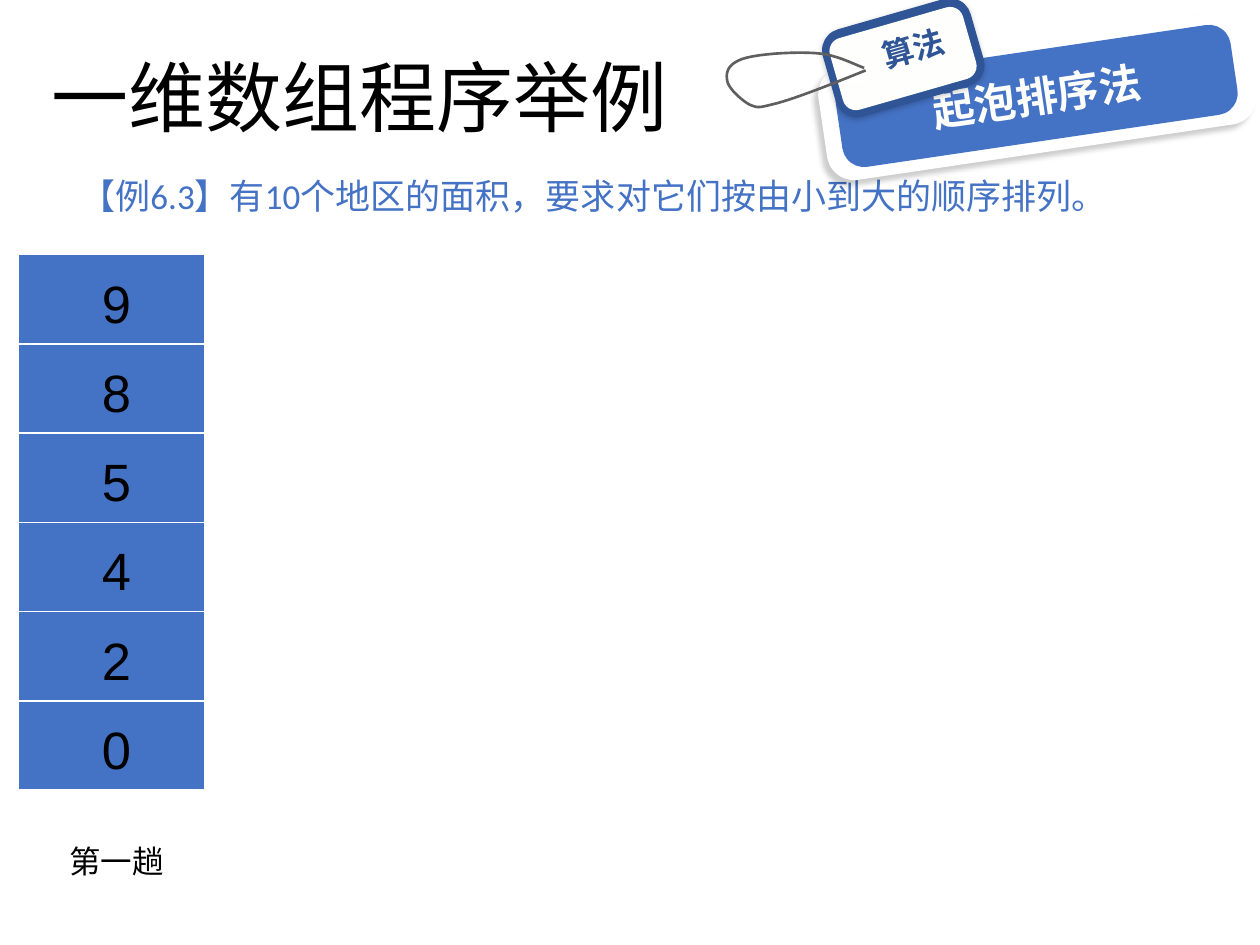
from lxml.etree import SubElement
from pptx import Presentation
from pptx.dml.color import RGBColor
from pptx.enum.shapes import MSO_SHAPE
from pptx.enum.text import MSO_ANCHOR, PP_ALIGN
from pptx.oxml import parse_xml
from pptx.oxml.ns import nsdecls, qn
from pptx.util import Cm, Pt

HUES = {"blue": "4472C4", "navy": "2F5597", "white": "FFFFFF",
        "pale": "FEFEFD", "black": "000000", "gray": "5F5F5F"}


def hue(name):
    return RGBColor.from_string(HUES[name])


def write(frame, text, size, color, font="Calibri", align=PP_ALIGN.LEFT, bold=False):
    frame.word_wrap = True
    para = frame.paragraphs[0]
    para.text = text
    para.alignment = align
    para.font.size, para.font.name, para.font.bold = Pt(size), font, bold
    para.font.color.rgb = hue(color)
    return para


deck = Presentation()
deck.slide_width, deck.slide_height = Cm(25.4), Cm(19.05)
slide = deck.slides.add_slide(deck.slide_layouts[6])
shapes = slide.shapes

# Column of cells
top, pitch = 5.13, 1.8
nums = ["9", "8", "5", "4", "2", "0"]
frame = shapes.add_table(len(nums), 1, Cm(0.36), Cm(top), Cm(3.76), Cm(pitch * len(nums)))
table = frame.table
table.first_row = table.horz_banding = False
for row in table.rows:
    cell = row.cells[0]
    props = cell._tc.get_or_add_tcPr()
    for side in ("lnL", "lnR", "lnT", "lnB"):
        line = SubElement(props, qn("a:" + side), w=str(Pt(1)))
        fill = SubElement(line, qn("a:solidFill"))
        SubElement(fill, qn("a:srgbClr"), val=HUES["white"])
    cell.fill.solid()
    cell.fill.fore_color.rgb = hue("blue")

# Title and task
title = shapes.add_textbox(Cm(0.79), Cm(0.2), Cm(15.88), Cm(3.68)).text_frame
title.vertical_anchor = MSO_ANCHOR.MIDDLE
write(title, "一维数组程序举例", 44, "black").line_spacing = 0.9
task = shapes.add_textbox(Cm(1.37), Cm(3.23), Cm(24), Cm(1.68)).text_frame
write(task, "【例6.3】有10个地区的面积，要求对它们按由小到大的顺序排列。",
      20, "blue").line_spacing = 1.2

# Tilted sign and tag: box, turn, corner, fill, shadow (distance, angle), label, size, ink, insets
parts = [
    ((16.54, 0.79, 8.74, 2.29), 351.6, 0.24, "white", (4, 135), None),
    ((16.87, 1.02, 8.05, 1.83), 351.6, 0.24, "blue", None, ("起泡排序法", 24, "pale", 0, 0)),
    ((16.66, 0.25, 3.1, 1.83), 344, 0.24, "navy", (1, 100), None),
    ((16.81, 0.43, 2.79, 1.5), 344, 0.18, "pale", None, ("算法", 18, "navy", 0.5, 0.3)),
    ((17.04, 1.22, 0.46, 0.46), 0, None, "white", None, None),
]
for box, turn, curve, color, cast, label in parts:
    kind = MSO_SHAPE.OVAL if curve is None else MSO_SHAPE.ROUNDED_RECTANGLE
    part = shapes.add_shape(kind, *map(Cm, box))
    part.rotation = turn
    part.shadow.inherit = False
    part.fill.solid()
    part.fill.fore_color.rgb = hue(color)
    part.line.fill.background()
    if curve is not None:
        part.adjustments[0] = curve
    if cast:
        part._element.spPr.find(qn("a:effectLst")).append(parse_xml(
            f'<a:outerShdw {nsdecls("a")} blurRad="{Pt(3)}" dist="{Pt(cast[0])}" '
            f'dir="{cast[1] * 60000}" rotWithShape="0"><a:srgbClr val="{HUES["black"]}">'
            '<a:alpha val="20000"/></a:srgbClr></a:outerShdw>'))
    if label:
        text, size, ink, left, base = label
        body = part.text_frame
        body.margin_left, body.margin_bottom = Cm(left), Cm(base)
        body.margin_top = body.margin_right = 0
        body.vertical_anchor = MSO_ANCHOR.MIDDLE
        write(body, text, size, ink, align=PP_ALIGN.CENTER, bold=True)

# String of the tag, sampled along cubic curves
start = (17.42, 1.37)
curves = [
    ((17.15, 1.27), (16.84, 1.09), (16.41, 1.07)),
    ((16, 1.04), (15.24, 1.09), (14.96, 1.19)),
    ((14.66, 1.3), (14.63, 1.47), (14.66, 1.63)),
    ((14.68, 1.78), (14.96, 2.03), (15.11, 2.11)),
    ((15.29, 2.18), (15.27, 2.18), (15.67, 2.08)),
    ((16.05, 1.98), (16.81, 1.68), (17.45, 1.42)),
]
steps, dots, last = 10, [], start
for one, two, end in curves:
    for t in (n / steps for n in range(1, steps + 1)):
        s = 1 - t
        dots.append(tuple(
            Cm(s**3 * a + 3 * s * s * t * b + 3 * s * t * t * c + t**3 * d)
            for a, b, c, d in zip(last, one, two, end)))
    last = end
path = shapes.build_freeform(Cm(start[0]), Cm(start[1]))
path.add_line_segments(dots, close=False)
cord = path.convert_to_shape()
cord.shadow.inherit = False
cord.fill.background()
cord.line.color.rgb = hue("gray")
cord.line.width = Pt(1.5)

# Numbers over the cells
for i, num in enumerate(nums):
    box = shapes.add_textbox(Cm(1.6), Cm(top + 0.2 + i * pitch), Cm(1.5), Cm(1.55))
    write(box.text_frame, num, 30, "black", "Arial", PP_ALIGN.CENTER)

# Name of the pass
note = shapes.add_textbox(Cm(0.46), Cm(16.84), Cm(3.78), Cm(1.04))
write(note.text_frame, "第一趟", 18, "black", "Arial", PP_ALIGN.CENTER)

deck.save("out.pptx")
